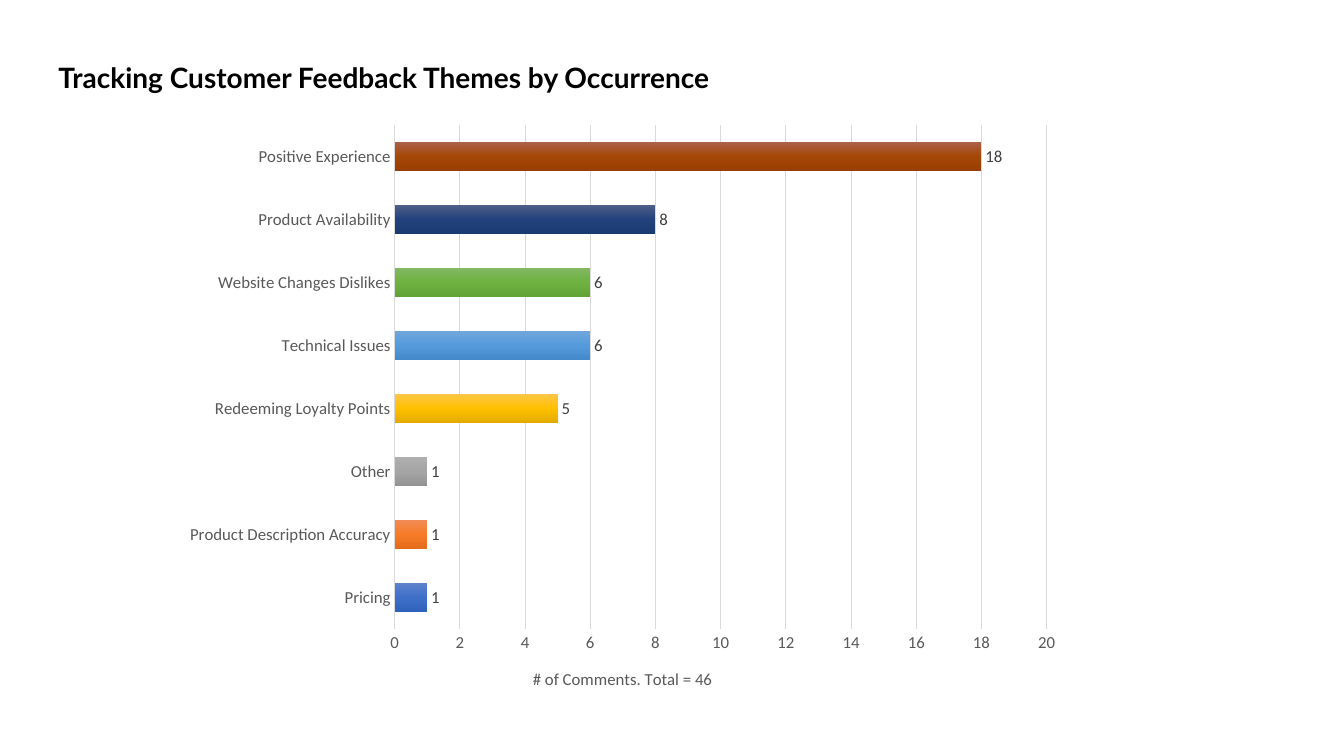
import copy

import pptx
import pptx.chart.data
import pptx.dml.color
import pptx.enum.chart
import pptx.enum.text
import pptx.oxml
import pptx.oxml.ns
import pptx.util

Pt = pptx.util.Pt
RGBColor = pptx.dml.color.RGBColor
chart_enum = pptx.enum.chart

TITLE = "Tracking Customer Feedback Themes by Occurrence"
AXIS_TITLE = "# of Comments. Total = 46"
THEMES = [
    ("Pricing", 1, ("6183CB", "3E70CA", "3062BB")),
    ("Product Description Accuracy", 1, ("F18C57", "F67B28", "E56C19")),
    ("Other", 1, ("AFAFAF", "A5A5A5", "939393")),
    ("Redeeming Loyalty Points", 5, ("FFC64B", "FFC000", "E3AB00")),
    ("Technical Issues", 6, ("71A6DB", "559BDB", "448ACA")),
    ("Website Changes Dislikes", 6, ("81B861", "6FB242", "62A336")),
    ("Product Availability", 8, ("516089", "22427D", "1A3A72")),
    ("Positive Experience", 18, ("AB634B", "A54707", "983E00")),
]
BLACK = RGBColor(0x00, 0x00, 0x00)
AXIS_GRAY = RGBColor(0x59, 0x59, 0x59)
LABEL_GRAY = RGBColor(0x40, 0x40, 0x40)
GRID_GRAY = RGBColor(0xD9, 0xD9, 0xD9)

CHART_BOX = (122.4, 80.64, 644.4, 426.96)
PLOT_BOX = (281.9, 89.2, 465.8, 360)
AXIS_TITLE_CORNER = (378.4, 474.8)
TITLE_BOX = (34.56, 39.6, 903.6, 31.68)


def style_font(font, size=12, color=AXIS_GRAY, name="Calibri", bold=False):
    font.size = Pt(size)
    font.name = name
    font.bold = bold
    font.color.rgb = color


def write_text(text_frame, text, space_after=0, **font_format):
    paragraph = text_frame.paragraphs[0]
    paragraph.space_after = Pt(space_after)
    run = paragraph.add_run()
    run.text = text
    style_font(run.font, **font_format)


def make_layout(box, target=""):
    chart_left, chart_top, chart_width, chart_height = CHART_BOX
    origins = (chart_left, chart_top, 0, 0)
    scales = (chart_width, chart_height) * 2
    tags = "".join(f'<c:{axis}Mode val="edge"/>' for axis in "xy")
    for key, place, origin, scale in zip("xywh", box, origins, scales):
        tags += f'<c:{key} val="{(place - origin) / scale}"/>'
    return pptx.oxml.parse_xml(
        f'<c:layout {pptx.oxml.ns.nsdecls("c")}><c:manualLayout>'
        f"{target}{tags}</c:manualLayout></c:layout>"
    )


def remove_layout(element):
    for layout in element.findall(pptx.oxml.ns.qn("c:layout")):
        element.remove(layout)


def fill_gradient(fill, colors):
    fill.gradient()
    fill.gradient_angle = 270
    first_stop = fill.gradient_stops[0]._gs
    first_stop.addnext(copy.deepcopy(first_stop))
    for index, (stop, color) in enumerate(zip(fill.gradient_stops, colors)):
        stop.position = index / 2
        stop.color.rgb = RGBColor.from_string(color)


presentation = pptx.Presentation()
presentation.slide_width, presentation.slide_height = Pt(960), Pt(540)
slide = presentation.slides.add_slide(presentation.slide_layouts[6])

chart_data = pptx.chart.data.CategoryChartData()
chart_data.categories = [theme for theme, count, colors in THEMES]
chart_data.add_series("Series 1", [count for theme, count, colors in THEMES])
chart = slide.shapes.add_chart(
    chart_enum.XL_CHART_TYPE.BAR_CLUSTERED, *map(Pt, CHART_BOX), chart_data
).chart
chart.has_legend = False
chart.has_title = False
style_font(chart.font, size=10, color=BLACK)

plot = chart.plots[0]
plot.gap_width = 115
plot.overlap = -20
plot.vary_by_categories = False
plot.has_data_labels = True
labels = plot.data_labels
labels.show_value = True
labels.position = chart_enum.XL_LABEL_POSITION.OUTSIDE_END
style_font(labels.font, color=LABEL_GRAY)
for index, (theme, count, colors) in enumerate(THEMES):
    fill_gradient(plot.series[0].points[index].format.fill, colors)

for axis in (chart.category_axis, chart.value_axis):
    axis.major_tick_mark = chart_enum.XL_TICK_MARK.NONE
    axis.minor_tick_mark = chart_enum.XL_TICK_MARK.NONE
    style_font(axis.tick_labels.font)
category_line = chart.category_axis.format.line
category_line.color.rgb = GRID_GRAY
category_line.width = Pt(1)

value_axis = chart.value_axis
value_axis.minimum_scale, value_axis.maximum_scale, value_axis.major_unit = 0, 20, 2
value_axis.format.line.fill.background()
value_axis.has_major_gridlines = True
grid_line = value_axis.major_gridlines.format.line
grid_line.color.rgb = GRID_GRAY
grid_line.width = Pt(0.75)
axis_title = value_axis.axis_title
write_text(axis_title.text_frame, AXIS_TITLE)

title_element = axis_title._element
remove_layout(title_element)
title_element.find(pptx.oxml.ns.qn("c:tx")).addnext(make_layout(AXIS_TITLE_CORNER))
plot_area = chart._chartSpace.chart.plotArea
remove_layout(plot_area)
plot_area.insert(0, make_layout(PLOT_BOX, '<c:layoutTarget val="inner"/>'))

title_box = slide.shapes.add_textbox(*map(Pt, TITLE_BOX))
title_box.text_frame.word_wrap = True
title_box.text_frame.auto_size = pptx.enum.text.MSO_AUTO_SIZE.SHAPE_TO_FIT_TEXT
write_text(title_box.text_frame, TITLE, space_after=6,
           size=20, color=BLACK, name="Lato", bold=True)

presentation.save("out.pptx")
